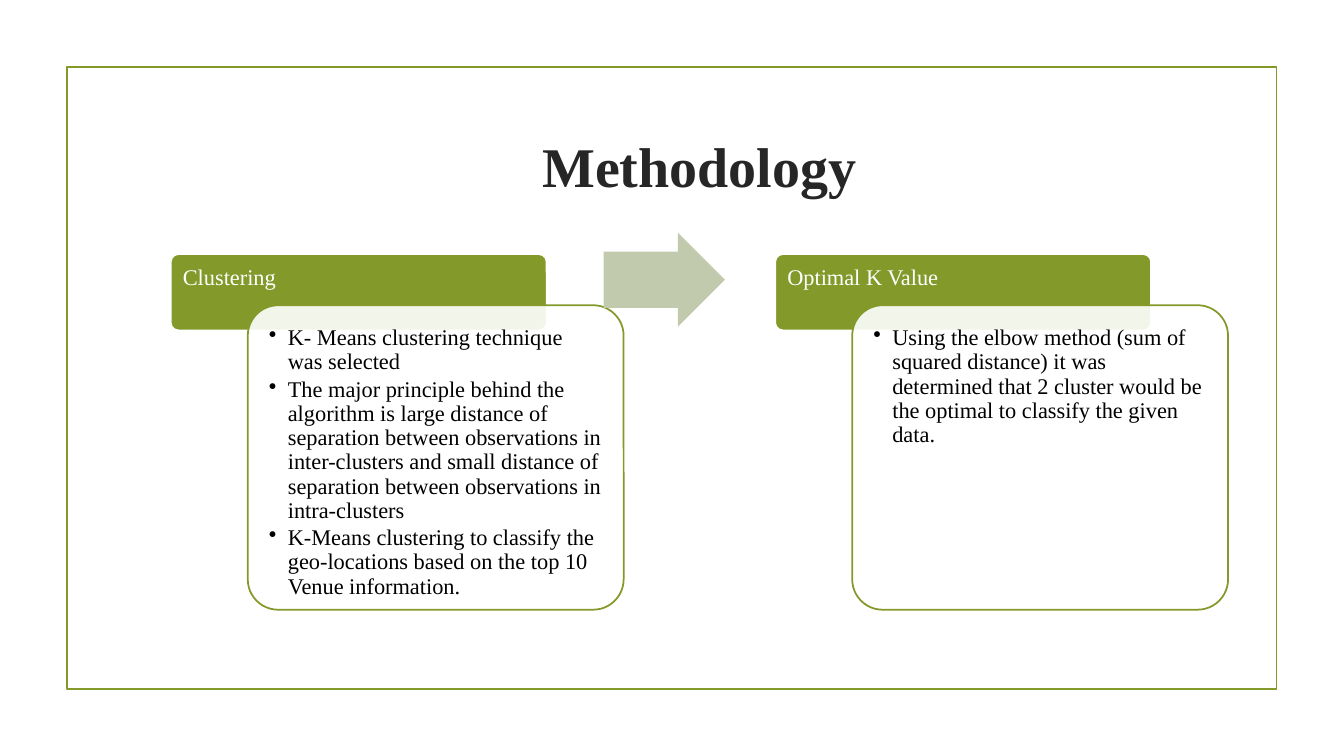
from lxml.etree import SubElement
from pptx import Presentation
from pptx.dml.color import RGBColor
from pptx.enum.shapes import MSO_SHAPE
from pptx.enum.text import MSO_ANCHOR, PP_ALIGN
from pptx.oxml.ns import qn
from pptx.util import Pt

GREEN, WHITE = "83992A", "FFFFFF"
FONT = "Times New Roman"


def add_box(kind, left, top, width, height, fill=None, line=None, adjust=(), alpha=None):
    box = slide.shapes.add_shape(kind, Pt(left), Pt(top), Pt(width), Pt(height))
    box.shadow.inherit = False
    for i, value in enumerate(adjust):
        box.adjustments[i] = value
    if fill:
        box.fill.solid()
        box.fill.fore_color.rgb = RGBColor.from_string(fill)
        if alpha:
            color = box.fill._xPr.find(qn("a:solidFill"))[0]
            SubElement(color, qn("a:alpha"), val=str(alpha * 1000))
    else:
        box.fill.background()
    if line:
        box.line.color.rgb = RGBColor.from_string(line)
        box.line.width = Pt(1.25)
    else:
        box.line.fill.background()


def add_text(lines, left, top, width, height, size=16, color="000000", bold=False,
             align=PP_ALIGN.LEFT, anchor=MSO_ANCHOR.TOP, inset=8.64, bottom=8.64,
             spacing=0.9, after=0, bullet=False):
    box = slide.shapes.add_textbox(Pt(left), Pt(top), Pt(width), Pt(height))
    frame = box.text_frame
    frame.word_wrap = True
    frame.vertical_anchor = anchor
    frame.margin_left = frame.margin_top = frame.margin_right = Pt(inset)
    frame.margin_bottom = Pt(bottom)
    for i, words in enumerate(lines):
        para = frame.paragraphs[0] if i == 0 else frame.add_paragraph()
        para.alignment = align
        para.line_spacing = spacing
        para.space_after = Pt(after)
        run = para.add_run()
        run.text = words
        run.font.name, run.font.size, run.font.bold = FONT, Pt(size), bold
        run.font.color.rgb = RGBColor.from_string(color)
        if bullet:
            props = para._p.get_or_add_pPr()
            props.set("marL", str(Pt(13.5)))
            props.set("indent", str(-Pt(13.5)))
            SubElement(props, qn("a:buChar"), char="•")


deck = Presentation()
deck.slide_width, deck.slide_height = Pt(960), Pt(540)
slide = deck.slides.add_slide(deck.slide_layouts[6])

add_box(MSO_SHAPE.RECTANGLE, 47.8, 48, 864, 444, line=GREEN)
add_text(["Methodology"], 121.5, 66.5, 756, 103, size=40, color="262626", bold=True,
         align=PP_ALIGN.CENTER, anchor=MSO_ANCHOR.MIDDLE, spacing=1)

steps = [
    ("Clustering", [
        "K- Means clustering technique was selected",
        "The major principle behind the algorithm is large distance of separation between "
        "observations in inter-clusters and small distance of separation between "
        "observations in intra-clusters",
        "K-Means clustering to classify the geo-locations based on the top 10 Venue "
        "information.",
    ]),
    ("Optimal K Value", [
        "Using the elbow method (sum of squared distance) it was determined that 2 cluster "
        "would be the optimal to classify the given data.",
    ]),
]
for i, (head, points) in enumerate(steps):
    left = 122 + 431.75 * i
    if i:
        add_box(MSO_SHAPE.RIGHT_ARROW, left - 122.5, 166.3, 86.5, 67,
                fill="C1CAAD", adjust=(0.6, 0.5))
    add_box(MSO_SHAPE.ROUNDED_RECTANGLE, left, 181.5, 268.5, 54.5,
            fill=GREEN, line=WHITE, adjust=(0.1,))
    add_text([head], left, 181.5, 268.5, 36, color=WHITE, bottom=5, after=5.6)
    add_box(MSO_SHAPE.ROUNDED_RECTANGLE, left + 55, 218, 268.5, 217.5,
            fill=WHITE, line=GREEN, adjust=(0.1,), alpha=90)
    add_text(points, left + 61.5, 224.5, 255.5, 205, after=2.4, bullet=True)

deck.save("out.pptx")
